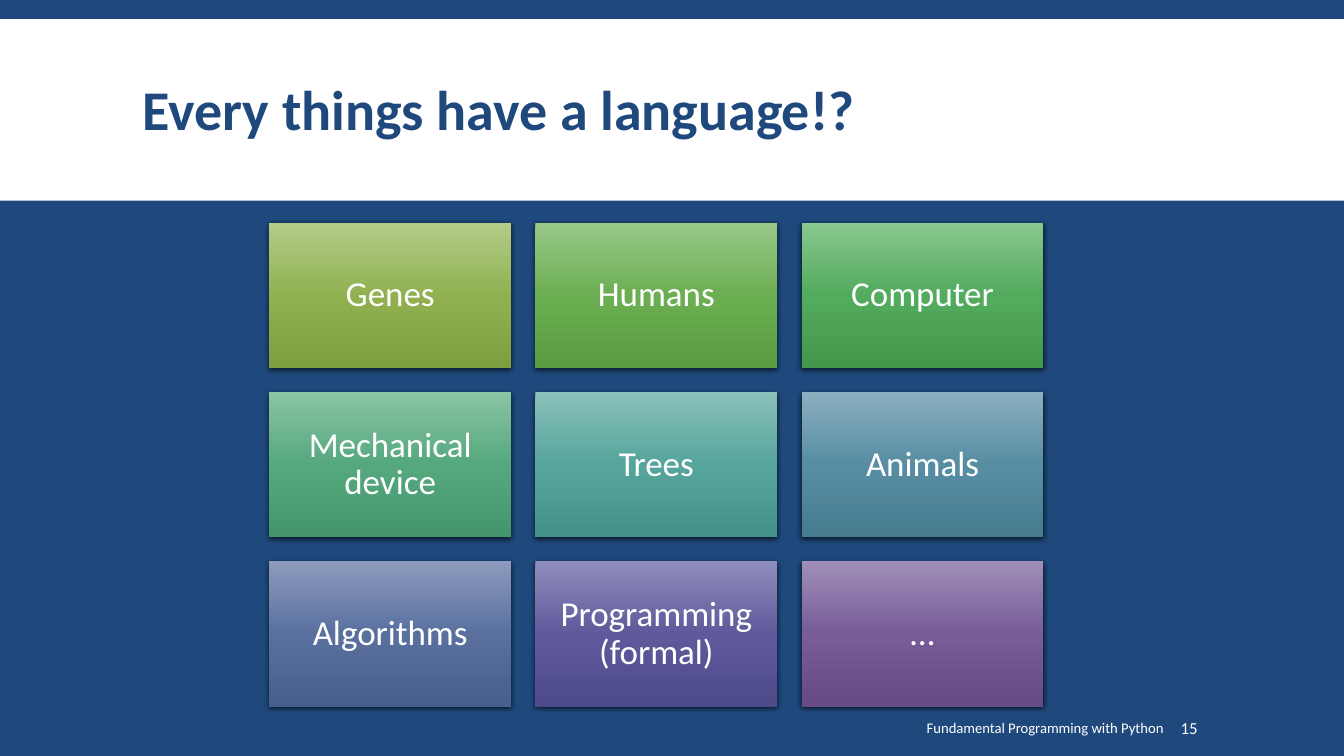
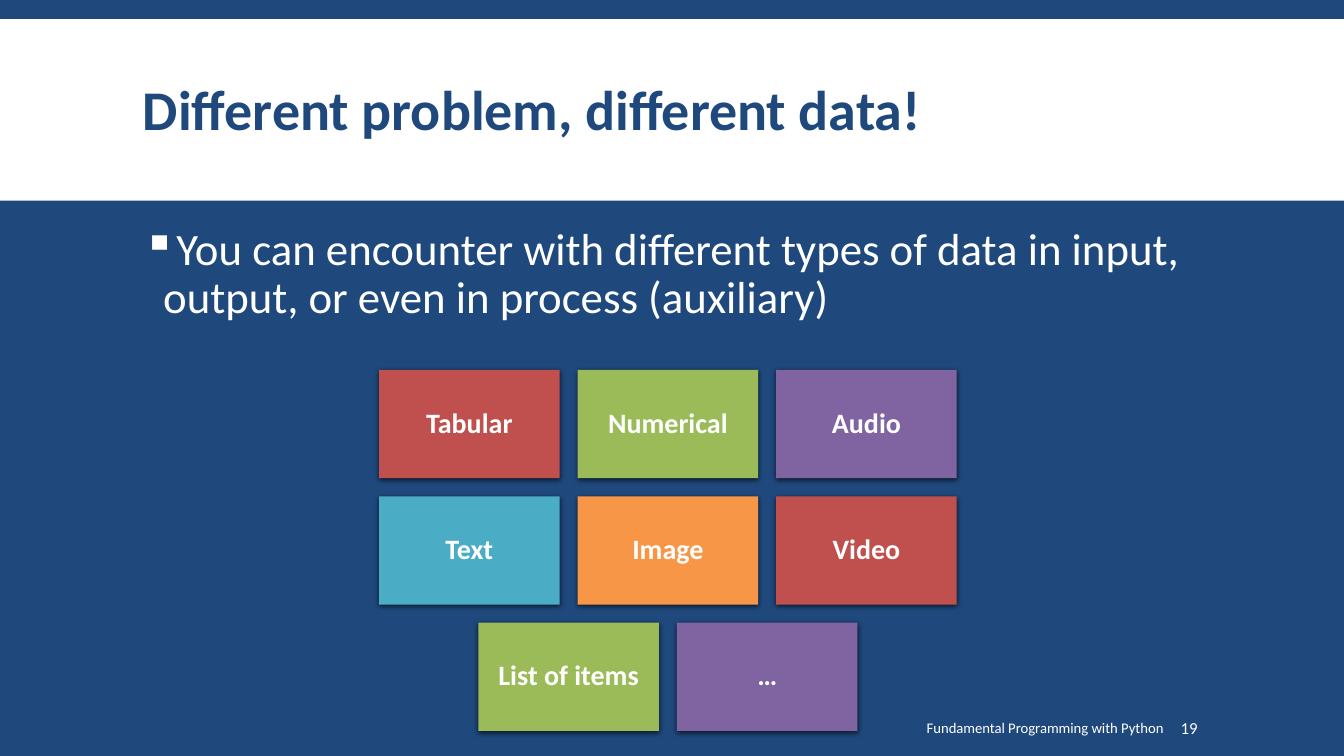
from copy import deepcopy

from lxml import etree
from pptx import Presentation
from pptx.dml.color import RGBColor
from pptx.enum.shapes import MSO_SHAPE
from pptx.enum.text import MSO_ANCHOR, PP_ALIGN
from pptx.oxml.ns import qn
from pptx.util import Inches, Pt

RECTANGLE = MSO_SHAPE.RECTANGLE
TOP, MIDDLE = MSO_ANCHOR.TOP, MSO_ANCHOR.MIDDLE
LEFT, CENTER, RIGHT = PP_ALIGN.LEFT, PP_ALIGN.CENTER, PP_ALIGN.RIGHT

FONT = "Calibri"
COLORS = {
    "navy": "1F497D",
    "white": "FFFFFF",
    "black": "000000",
    "red": "C0504D",
    "green": "9BBB59",
    "purple": "8064A2",
    "teal": "4BACC6",
    "orange": "F79646",
}
FOOTER = "Fundamental Programming with Python"
COLUMNS = 3

# Each tile: label and its gradient from top to bottom
LANGUAGES = [
    ("Genes", ("B3CC88", "91B151", "7F9E3F")),
    ("Humans", ("98C989", "6CAE52", "5A9B41")),
    ("Computer", ("89C78F", "53AB5D", "42984B")),
    ("Mechanical device", ("8AC4A4", "55A87E", "44956C")),
    ("Trees", ("8BC2BB", "56A59C", "45928A")),
    ("Animals", ("8BAFC0", "578DA2", "467B90")),
    ("Algorithms", ("8C9BBD", "59709F", "485F8D")),
    ("Programming (formal)", ("8F8DBB", "5E5A9C", "4D4A8A")),
    ("…", ("9F8EB8", "775C98", "664B87")),
]
# Each tile: label and its single colour
DATA_TYPES = [
    ("Tabular", (COLORS["red"],)),
    ("Numerical", (COLORS["green"],)),
    ("Audio", (COLORS["purple"],)),
    ("Text", (COLORS["teal"],)),
    ("Image", (COLORS["orange"],)),
    ("Video", (COLORS["red"],)),
    ("List of items", (COLORS["green"],)),
    ("…", (COLORS["purple"],)),
]


def rgb(hex_color):
    return RGBColor.from_string(hex_color)


def write(shape, text, size, color="white", bold=False, align=LEFT,
          anchor=MIDDLE, spacing=None, insets=(0.1, 0.05, 0.1, 0.05)):
    """Put one formatted paragraph into a shape and return it."""
    frame = shape.text_frame
    frame.word_wrap = True
    frame.vertical_anchor = anchor
    (frame.margin_left, frame.margin_top,
     frame.margin_right, frame.margin_bottom) = map(Inches, insets)
    frame.text = text
    para = frame.paragraphs[0]
    para.alignment = align
    para.line_spacing = spacing
    font = para.runs[0].font
    font.name, font.size, font.bold = FONT, Pt(size), bold
    font.color.rgb = rgb(COLORS[color])
    return para


def add_text(page, box, text, size, **style):
    return write(page.shapes.add_textbox(*map(Inches, box)), text, size, **style)


def add_rectangle(page, box, colors):
    """Borderless rectangle: one colour is solid, three make a gradient."""
    shape = page.shapes.add_shape(RECTANGLE, *map(Inches, box))
    shape.shadow.inherit = False
    shape.line.fill.background()
    fill = shape.fill
    if len(colors) == 1:
        fill.solid()
        fill.fore_color.rgb = rgb(colors[0])
        return shape
    fill.gradient()
    fill.gradient_angle = 270
    stop_list = shape.element.spPr.find(".//" + qn("a:gsLst"))
    stop_list.append(deepcopy(stop_list[0]))
    for stop, position, color in zip(fill.gradient_stops, (0, 0.5, 1), colors):
        stop.position = position
        stop.color.rgb = rgb(color)
    return shape


def add_shadow(shape):
    effects = shape.element.spPr.find(qn("a:effectLst"))
    shadow = etree.SubElement(
        effects, qn("a:outerShdw"), blurRad=str(Pt(4)), dist=str(Pt(1.2)),
        dir="5400000", algn="ctr", rotWithShape="0")
    color = etree.SubElement(shadow, qn("a:srgbClr"), val=COLORS["black"])
    etree.SubElement(color, qn("a:alpha"), val="68000")


def add_tiles(page, left, top, width, tiles, size, bold=False):
    """Grid of tiles; gaps are a tenth of a tile, a short last row is centred."""
    tile_width = width / (COLUMNS + 0.1 * (COLUMNS - 1))
    tile_height, gap = 0.6 * tile_width, 0.1 * tile_width
    for index, (label, colors) in enumerate(tiles):
        row, column = divmod(index, COLUMNS)
        missing = max(0, COLUMNS * (row + 1) - len(tiles))
        box = (left + (column + missing / 2) * (tile_width + gap),
               top + row * (tile_height + gap), tile_width, tile_height)
        tile = add_rectangle(page, box, colors)
        add_shadow(tile)
        write(tile, label, size, bold=bold, align=CENTER, spacing=0.9,
              insets=(size / 250,) * 4)


def add_bullet(page, box, text):
    para = add_text(page, box, text, 32, anchor=TOP, spacing=0.9)
    para.space_before, para.space_after = Pt(12), Pt(2)
    properties = para._p.get_or_add_pPr()
    properties.set("marL", str(Inches(0.2)))
    properties.set("indent", str(Inches(-0.2)))
    bullet_color = etree.SubElement(properties, qn("a:buClr"))
    etree.SubElement(bullet_color, qn("a:srgbClr"), val=COLORS["white"])
    etree.SubElement(properties, qn("a:buChar"), char="▪")


def add_page(deck, title, number):
    """Blue page with white title band, footer and page number."""
    page = deck.slides.add_slide(deck.slide_layouts[6])
    background = page.background.fill
    background.solid()
    background.fore_color.rgb = rgb(COLORS["navy"])
    add_rectangle(page, (0, 0.19, 13.33, 1.8), (COLORS["white"],))
    add_text(page, (1.32, 0.3, 10.7, 1.65), title, 40, color="navy",
             bold=True, spacing=0.85)
    add_text(page, (6.12, 7.02, 5.52, 0.4), FOOTER, 10.5, align=RIGHT)
    add_text(page, (11.66, 7.02, 1.03, 0.4), number, 12,
             insets=(0.05, 0.05, 0.1, 0.05))
    return page


def main():
    deck = Presentation()
    deck.slide_width, deck.slide_height = Inches(13.33), Inches(7.5)

    # Languages
    page = add_page(deck, "Every things have a language!?", "15")
    add_tiles(page, 2.67, 2.21, 7.68, LANGUAGES, 25)

    # Data types
    page = add_page(deck, "Different problem, different data!", "19")
    add_bullet(page, (1.32, 2.2, 10.7, 1.3),
               "You can encounter with different types of data in input, "
               "output, or even in process (auxiliary)")
    add_tiles(page, 3.76, 3.67, 5.73, DATA_TYPES, 20, bold=True)

    deck.save("out.pptx")


if __name__ == "__main__":
    main()
